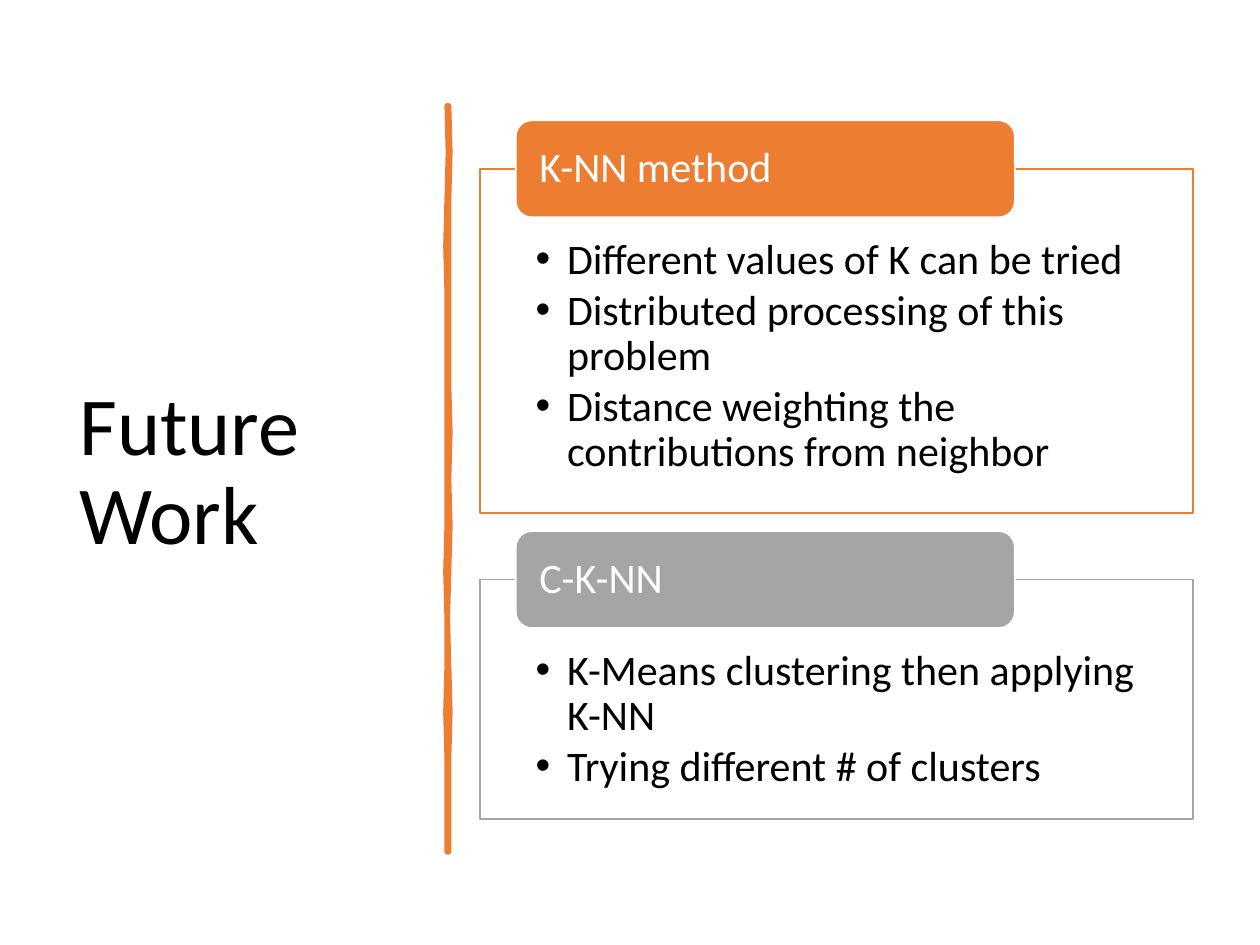
from pptx import Presentation
from pptx.dml.color import RGBColor
from pptx.enum.shapes import MSO_SHAPE
from pptx.enum.text import MSO_ANCHOR, MSO_AUTO_SIZE, PP_ALIGN
from pptx.util import Inches, Pt

ROUNDED = MSO_SHAPE.ROUNDED_RECTANGLE
MIDDLE, TOP = MSO_ANCHOR.MIDDLE, MSO_ANCHOR.TOP
LEFT = PP_ALIGN.LEFT
NO_AUTOFIT = MSO_AUTO_SIZE.NONE

ORANGE = RGBColor(0xED, 0x7D, 0x31)
GRAY = RGBColor(0xA5, 0xA5, 0xA5)
WHITE = RGBColor(0xFF, 0xFF, 0xFF)
BLACK = RGBColor(0, 0, 0)

TITLE = "Future Work"
SECTIONS = [
    ("K-NN method", ORANGE, 2.73, [
        "Different values of K can be tried",
        "Distributed processing of this problem",
        "Distance weighting the contributions from neighbor",
    ]),
    ("C-K-NN", GRAY, 1.9, [
        "K-Means clustering then applying K-NN",
        "Trying different # of clusters",
    ]),
]

PANEL_LEFT, PANEL_WIDTH, FIRST_PANEL_TOP = 3.81, 5.66, 1.34
HEADER_HEIGHT = 0.77
HEADER_LEFT = PANEL_LEFT + PANEL_WIDTH * 0.05
HEADER_WIDTH = PANEL_WIDTH * 0.7
PANEL_GAP = 0.53

RULE_TOP, RULE_BOTTOM = 0.84, 6.76
RIGHT_EDGE = [3.56, 3.57, 3.56, 3.56, 3.56, 3.56, 3.56, 3.57, 3.56,
              3.57, 3.56, 3.55, 3.56, 3.57, 3.56, 3.56, 3.56]
LEFT_EDGE = [3.55, 3.56, 3.55, 3.54, 3.55, 3.55, 3.55, 3.55, 3.55,
             3.55, 3.54, 3.55, 3.55, 3.54, 3.55, 3.55, 3.55]


def set_text(frame, lines, size, color, margins, anchor, space_after=0):
    frame.word_wrap = True
    frame.auto_size = NO_AUTOFIT
    frame.vertical_anchor = anchor
    (frame.margin_left, frame.margin_top,
     frame.margin_right, frame.margin_bottom) = map(Inches, margins)
    frame.text = "\n".join(lines)
    for paragraph in frame.paragraphs:
        paragraph.alignment = LEFT
        paragraph.line_spacing = 0.9
        paragraph.space_before = Pt(0)
        paragraph.space_after = Pt(space_after)
        paragraph.font.name = "Calibri"
        paragraph.font.size = Pt(size)
        paragraph.font.color.rgb = color


def place(shape, left, top, width, height):
    shape.left, shape.top = Inches(left), Inches(top)
    shape.width, shape.height = Inches(width), Inches(height)


def paint(shape, fill, line, weight):
    shape.fill.solid()
    shape.fill.fore_color.rgb = fill
    shape.line.color.rgb = line
    shape.line.width = Pt(weight)


def edge_points(edge):
    step = (RULE_BOTTOM - RULE_TOP) / (len(edge) - 1)
    return [(Inches(x), Inches(RULE_TOP + i * step))
            for i, x in enumerate(edge)]


def add_rule(slide):
    start, *outline = edge_points(RIGHT_EDGE) + edge_points(LEFT_EDGE)[::-1]
    builder = slide.shapes.build_freeform(*start)
    builder.add_line_segments(outline, close=True)
    rule = builder.convert_to_shape()
    rule.shadow.inherit = False
    paint(rule, ORANGE, ORANGE, 3.25)


def add_section(slide, panel, top, heading, color, height, points):
    place(panel, PANEL_LEFT, top, PANEL_WIDTH, height)
    paint(panel, WHITE, color, 1)
    set_text(panel.text_frame, points, 24, BLACK,
             (0.44, 0.55, 0.44, 0.19), TOP, 3)
    for paragraph in panel.text_frame.paragraphs:
        properties = paragraph._p.get_or_add_pPr()
        properties.set("marL", str(Inches(0.25)))
        properties.set("indent", str(Inches(-0.25)))

    header = slide.shapes.add_shape(
        ROUNDED, Inches(HEADER_LEFT), Inches(top - HEADER_HEIGHT / 2),
        Inches(HEADER_WIDTH), Inches(HEADER_HEIGHT))
    header.shadow.inherit = False
    paint(header, color, WHITE, 1)
    set_text(header.text_frame, [heading], 24, WHITE,
             (0.15, 0, 0.15, 0), MIDDLE)


def main():
    deck = Presentation()
    deck.slide_width, deck.slide_height = Inches(10), Inches(7.5)
    slide = deck.slides.add_slide(deck.slide_layouts[3])
    title, *panels = slide.placeholders

    place(title, 0.52, 0.7, 2.8, 6.11)
    set_text(title.text_frame, [TITLE], 47, BLACK,
             (0.11, 0.05, 0.1, 0.05), MIDDLE)
    add_rule(slide)

    top = FIRST_PANEL_TOP
    for panel, (heading, color, height, points) in zip(panels, SECTIONS):
        add_section(slide, panel, top, heading, color, height, points)
        top += height + PANEL_GAP
    for unused in panels[len(SECTIONS):]:
        unused.element.getparent().remove(unused.element)

    deck.save("out.pptx")


if __name__ == "__main__":
    main()
